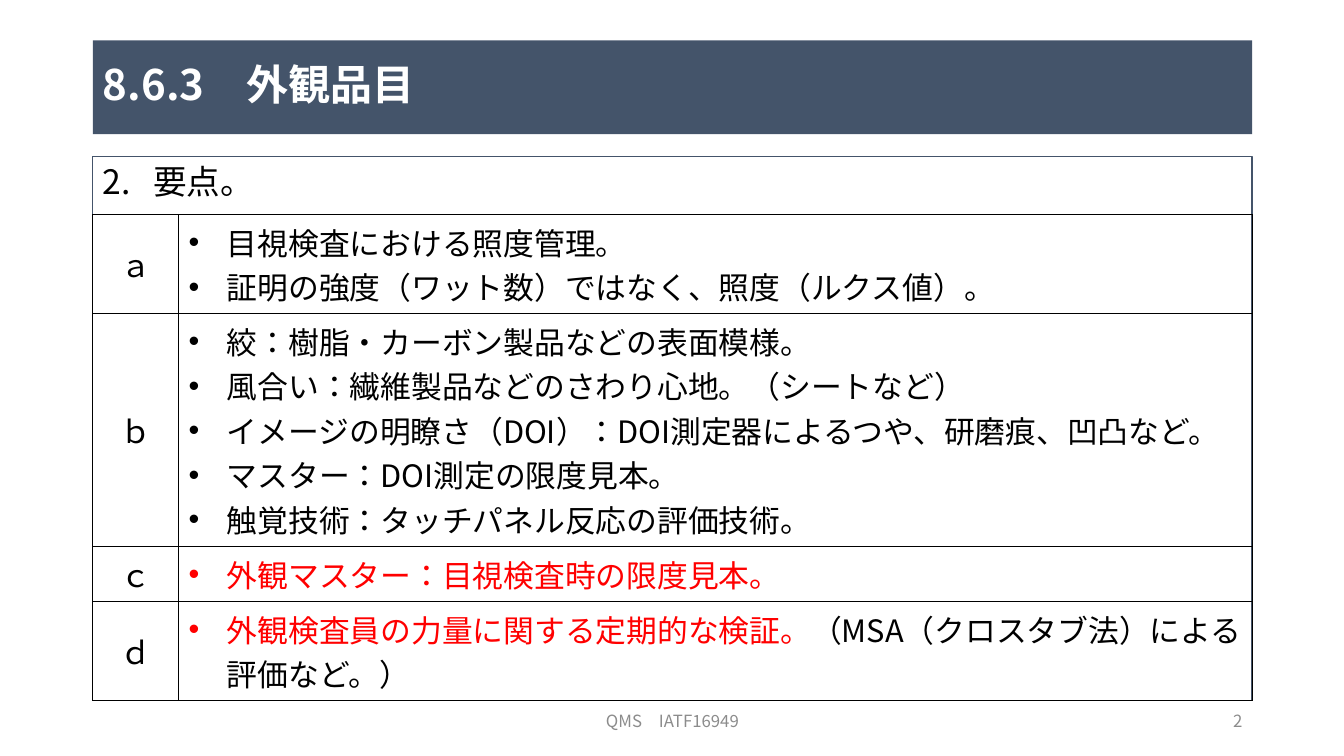
"""Build the slide on the key points of 8.6.3, appearance items."""
from dataclasses import dataclass

from lxml.etree import SubElement
from pptx import Presentation
from pptx.dml.color import RGBColor as RGB
from pptx.enum.lang import MSO_LANGUAGE_ID as Lang
from pptx.enum.shapes import MSO_SHAPE as Kind
from pptx.enum.text import MSO_ANCHOR as Anchor, PP_ALIGN as Align
from pptx.oxml import parse_xml
from pptx.oxml.ns import nsdecls, qn
from pptx.util import Emu, Pt

PX = 9144
FONT = "Noto Sans CJK JP"
HUES = {"navy": "44546A", "ink": "000000", "red": "FF0000", "gray": "8C8C8C", "white": "FFFFFF"}
LEFT, WIDE = 92, 1150
COLS = (85, 1065)


@dataclass
class Piece:
    text: str
    hue: str = "ink"


@dataclass
class Row:
    mark: str
    high: int
    items: list[list[Piece]]


@dataclass
class Foot:
    text: str
    left: int
    wide: int
    align: Align


ROWS = [
    Row("ａ", 98, [
        [Piece("目視検査における照度管理。")],
        [Piece("証明の強度（ワット数）ではなく、照度（ルクス値）。")],
    ]),
    Row("ｂ", 231, [
        [Piece("絞：樹脂・カーボン製品などの表面模様。")],
        [Piece("風合い：繊維製品などのさわり心地。（シートなど）")],
        [Piece("イメージの明瞭さ（DOI）：DOI測定器によるつや、研磨痕、凹凸など。")],
        [Piece("マスター：DOI測定の限度見本。")],
        [Piece("触覚技術：タッチパネル反応の評価技術。")],
    ]),
    Row("ｃ", 55, [[Piece("外観マスター：目視検査時の限度見本。", "red")]]),
    Row("ｄ", 98, [[
        Piece("外観検査員の力量に関する定期的な検証。", "red"),
        Piece("（MSA（クロスタブ法）による評価など。）"),
    ]]),
]
FEET = [
    Foot("QMS　IATF16949", 442, 450, Align.CENTER),
    Foot("2", 942, 300, Align.RIGHT),
]


def px(num: int) -> Emu:
    """Turn px into EMU."""
    return Emu(num * PX)


def tint(name: str) -> RGB:
    """Look up a colour."""
    return RGB.from_string(HUES[name])


def add_run(para, piece: Piece, size: int, bold: bool = False) -> None:
    """Add one Japanese run in the slide's font."""
    run = para.add_run()
    run.text = piece.text
    font = run.font
    font.size, font.bold, font.name = Pt(size), bold, FONT
    font.language_id = Lang.JAPANESE
    font.color.rgb = tint(piece.hue)
    east = SubElement(run._r.get_or_add_rPr(), qn("a:ea"))
    east.set("typeface", FONT)


def add_mark(para, hang: int, tag: str, **attrs: str) -> None:
    """Give a paragraph a hanging bullet or number."""
    props = para._p.get_or_add_pPr()
    props.set("marL", str(px(hang)))
    props.set("indent", str(-px(hang)))
    SubElement(props, qn("a:buFont")).set("typeface", "Arial" if tag == "a:buChar" else FONT)
    mark = SubElement(props, qn(tag))
    for key, val in attrs.items():
        mark.set(key, val)


def trim(cell) -> None:
    """Clear a cell's fill and rule its four sides."""
    cell.fill.background()
    cell.vertical_anchor = Anchor.MIDDLE
    props = cell._tc.get_or_add_tcPr()
    for spot, side in enumerate("LRTB"):
        props.insert(spot, parse_xml(
            f'<a:ln{side} {nsdecls("a")} w="{Pt(1)}"><a:solidFill>'
            f'<a:srgbClr val="{HUES["ink"]}"/></a:solidFill></a:ln{side}>'))


def add_title(slide) -> None:
    """Format the title as a filled band."""
    title = slide.shapes.title
    title.left, title.top, title.width, title.height = px(LEFT), px(40), px(WIDE), px(93)
    title.fill.solid()
    title.fill.fore_color.rgb = tint("navy")
    frame = title.text_frame
    frame.vertical_anchor = Anchor.MIDDLE
    para = frame.paragraphs[0]
    para.alignment, para.line_spacing = Align.LEFT, 0.9
    add_run(para, Piece("8.6.3　外観品目", "white"), 30, True)


def add_panel(slide) -> None:
    """Add the outlined panel with its numbered heading."""
    panel = slide.shapes.add_shape(Kind.RECTANGLE, px(LEFT), px(155), px(WIDE), px(540))
    panel.shadow.inherit = False
    panel.fill.background()
    panel.line.color.rgb, panel.line.width = tint("navy"), Pt(1)
    frame = panel.text_frame
    frame.vertical_anchor = Anchor.TOP
    para = frame.paragraphs[0]
    para.alignment = Align.LEFT
    add_mark(para, 50, "a:buAutoNum", type="arabicPeriod", startAt="2")
    add_run(para, Piece("要点。"), 24)


def add_foot(slide, foot: Foot) -> None:
    """Add one footer text."""
    box = slide.shapes.add_textbox(px(foot.left), px(695), px(foot.wide), px(40))
    frame = box.text_frame
    frame.word_wrap, frame.vertical_anchor = True, Anchor.MIDDLE
    para = frame.paragraphs[0]
    para.alignment = foot.align
    add_run(para, Piece(foot.text, "gray"), 12)


def add_grid(slide) -> None:
    """Add the table of key points."""
    high = sum(row.high for row in ROWS)
    grid = slide.shapes.add_table(
        len(ROWS), len(COLS), px(LEFT), px(213), px(WIDE), px(high)).table
    grid.first_row = grid.horz_banding = False
    for col, wide in zip(grid.columns, COLS):
        col.width = px(wide)
    for line, row in zip(grid.rows, ROWS):
        line.height = px(row.high)
        head, body = line.cells
        trim(head)
        trim(body)
        para = head.text_frame.paragraphs[0]
        para.alignment = Align.CENTER
        add_run(para, Piece(row.mark), 22)
        frame = body.text_frame
        for spot, item in enumerate(row.items):
            para = frame.add_paragraph() if spot else frame.paragraphs[0]
            add_mark(para, 38, "a:buChar", char="•")
            for piece in item:
                add_run(para, piece, 22)


def main() -> None:
    """Build and save the deck."""
    deck = Presentation()
    deck.slide_width, deck.slide_height = px(1333), px(750)
    slide = deck.slides.add_slide(deck.slide_layouts[5])
    add_panel(slide)
    for foot in FEET:
        add_foot(slide, foot)
    add_title(slide)
    add_grid(slide)
    deck.save("out.pptx")


if __name__ == "__main__":
    main()
